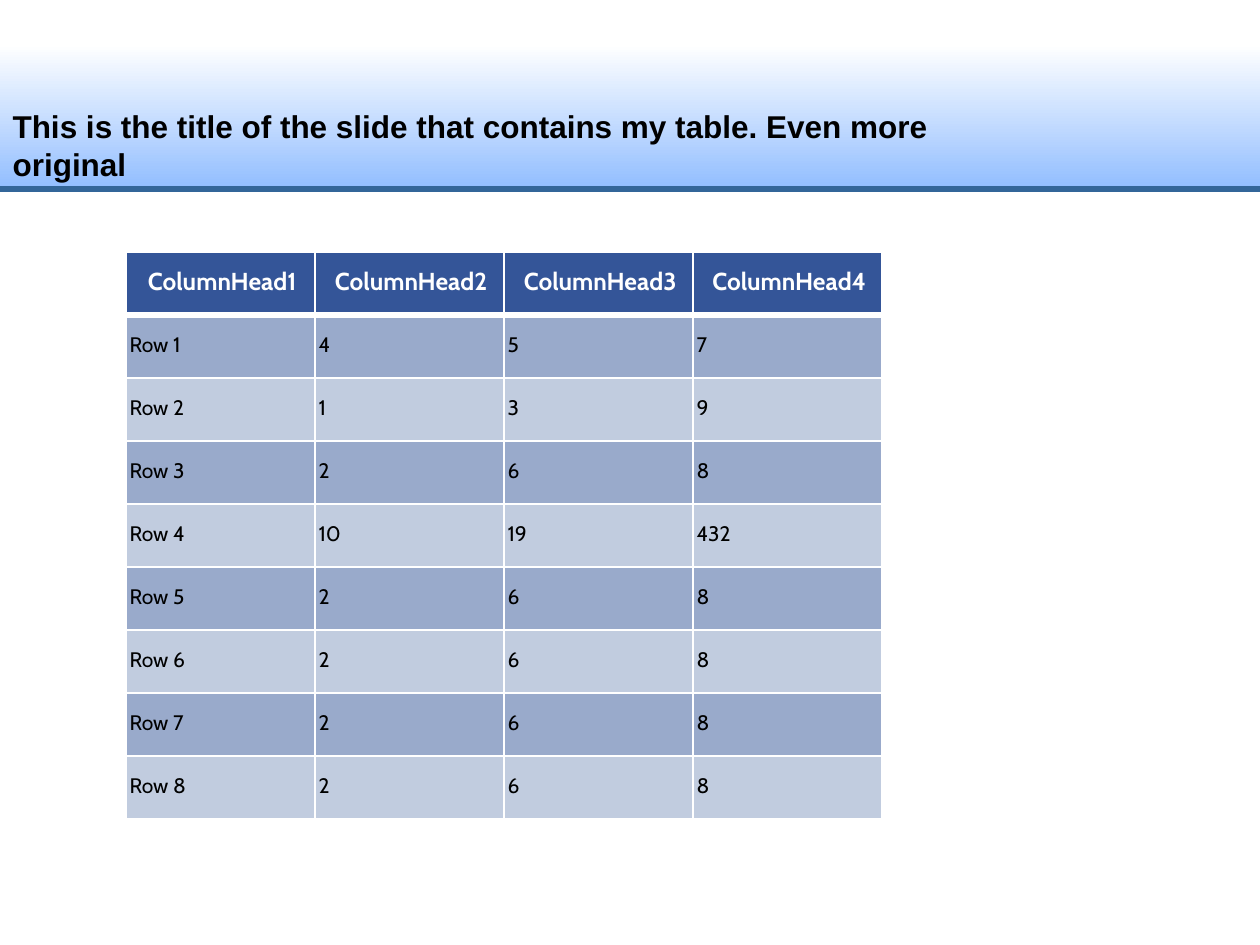
import dataclasses

import lxml.etree
import pptx
import pptx.dml.color
import pptx.enum.shapes
import pptx.enum.text
import pptx.oxml.ns
import pptx.util

Pt = pptx.util.Pt
RGB = pptx.dml.color.RGBColor.from_string
Align = pptx.enum.text.PP_ALIGN
Anchor = pptx.enum.text.MSO_ANCHOR
qn = pptx.oxml.ns.qn


@dataclasses.dataclass(frozen=True)
class Theme:
    black: str = "000000"
    white: str = "FFFFFF"
    sky: str = "8FBCFF"
    rule: str = "336699"
    header: str = "345598"
    bands: tuple = ("99AACB", "C1CCDF")
    title_font: str = "Arial"
    table_font: str = "Cabin"
    title_size: int = 18
    header_size: int = 14
    body_size: int = 12


theme = Theme()


def write_text(frame, text, font, size, color, bold=False, align=Align.LEFT,
               line_spacing=1.0, space=0, indent=0):
    """Put one formatted paragraph into a text frame."""
    paragraph = frame.paragraphs[0]
    paragraph.alignment = align
    paragraph.line_spacing = line_spacing
    paragraph.space_before = paragraph.space_after = Pt(space)
    properties = paragraph._p.get_or_add_pPr()
    properties.set("marL", str(Pt(indent)))
    properties.set("indent", "0")
    run = paragraph.add_run()
    run.text = text
    run.font.name = font
    run.font.size = Pt(size)
    run.font.bold = bold
    run.font.color.rgb = RGB(color)


def set_borders(cell, color, widths):
    """Draw the cell borders; widths are for left, right, top and bottom."""
    properties = cell._tc.get_or_add_tcPr()
    for index, (side, width) in enumerate(zip("LRTB", widths)):
        line = lxml.etree.Element(qn(f"a:ln{side}"), w=str(Pt(width)))
        fill = lxml.etree.SubElement(line, qn("a:solidFill"))
        lxml.etree.SubElement(fill, qn("a:srgbClr"), val=color)
        properties.insert(index, line)


presentation = pptx.Presentation()
presentation.slide_width, presentation.slide_height = Pt(720), Pt(540)
slide = presentation.slides.add_slide(presentation.slide_layouts[5])

# Gradient band, fading upwards
band = slide.shapes.add_shape(pptx.enum.shapes.MSO_SHAPE.RECTANGLE,
                              Pt(0), Pt(0), Pt(720), Pt(110))
band.shadow.inherit = False
band.line.fill.background()
band.fill.gradient()
band.fill.gradient_angle = 90
stops = [(0, theme.sky), (0.77, theme.white)]
for stop, (position, color) in zip(band.fill.gradient_stops, stops):
    stop.position = position
    stop.color.rgb = RGB(color)

# Rule under the band
rule = slide.shapes.add_connector(pptx.enum.shapes.MSO_CONNECTOR.STRAIGHT,
                                  Pt(0), Pt(108), Pt(720), Pt(108))
rule.line.color.rgb = RGB(theme.rule)
rule.line.width = Pt(3.5)
lxml.etree.SubElement(rule.element.spPr, qn("a:effectLst"))

# Title, in front of the band
title = slide.shapes.title
rule.element.addnext(title.element)
title.left, title.top, title.width, title.height = Pt(0), Pt(18), Pt(572.4), Pt(90)
title.text_frame.word_wrap = True
title.text_frame.auto_size = pptx.enum.text.MSO_AUTO_SIZE.NONE
title.text_frame.vertical_anchor = Anchor.BOTTOM
write_text(title.text_frame,
           "This is the title of the slide that contains my table. Even more original",
           theme.title_font, theme.title_size, theme.black, bold=True)

# Table
values = [(4, 5, 7), (1, 3, 9), (2, 6, 8), (10, 19, 432)] + [(2, 6, 8)] * 4
rows = [[f"ColumnHead{number}" for number in range(1, 5)]]
rows += [[f"Row {number}", *numbers] for number, numbers in enumerate(values, 1)]
column_width, row_height = 108, 36
table = slide.shapes.add_table(
    len(rows), len(rows[0]), Pt(72), Pt(144),
    Pt(column_width * len(rows[0])), Pt(row_height * len(rows))).table

for row_index, row in enumerate(rows):
    is_header = row_index == 0
    fill_color = theme.header if is_header else theme.bands[(row_index - 1) % 2]
    top_width = 4 if row_index == 1 else 1
    bottom_width = 4 if is_header else 1
    for column_index, value in enumerate(row):
        cell = table.cell(row_index, column_index)
        cell.margin_left = cell.margin_right = Pt(0)
        cell.margin_top = cell.margin_bottom = Pt(0)
        cell.vertical_anchor = Anchor.MIDDLE
        cell.fill.solid()
        cell.fill.fore_color.rgb = RGB(fill_color)
        set_borders(cell, theme.white, (1, 1, top_width, bottom_width))
        write_text(cell.text_frame, str(value), theme.table_font,
                   theme.header_size if is_header else theme.body_size,
                   theme.white if is_header else theme.black,
                   bold=is_header,
                   align=Align.CENTER if is_header else Align.LEFT,
                   line_spacing=0.8, space=2, indent=2)

presentation.save("out.pptx")
